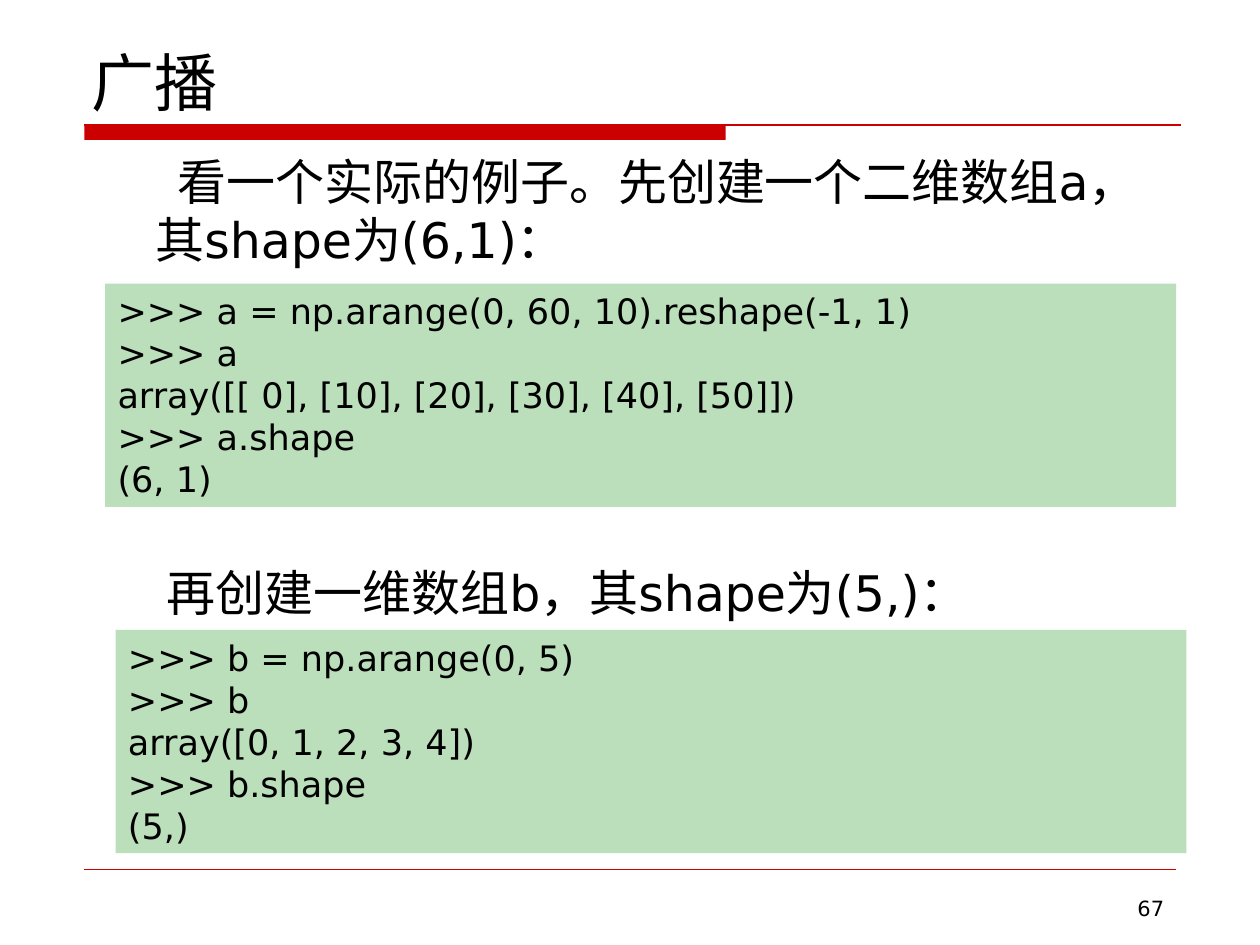
from lxml.etree import SubElement
from pptx import Presentation
from pptx.dml.color import RGBColor
from pptx.enum.shapes import MSO_CONNECTOR, MSO_SHAPE
from pptx.enum.text import MSO_ANCHOR, MSO_AUTO_SIZE, PP_ALIGN
from pptx.oxml.ns import qn
from pptx.util import Cm, Pt

FONT = "DejaVu Sans"
RED, GREEN, BLACK = "CC0000", "BBDFBB", "000000"


def rgb(value):
    return RGBColor.from_string(value)


def place(sp, box):
    sp.left, sp.top, sp.width, sp.height = (Cm(v) for v in box)


def write(sp, lines, size, align=PP_ALIGN.LEFT, anchor=MSO_ANCHOR.TOP):
    tf = sp.text_frame
    tf.word_wrap = True
    tf.auto_size = MSO_AUTO_SIZE.NONE
    tf.vertical_anchor = anchor
    tf.text = "\n".join(lines)
    for p in tf.paragraphs:
        p.alignment = align
        for r in p.runs:
            r.font.size, r.font.name = Pt(size), FONT
            r.font.color.rgb = rgb(BLACK)
    return tf


def add_rect(s, box, fill):
    sp = s.shapes.add_shape(MSO_SHAPE.RECTANGLE, *(Cm(v) for v in box))
    sp.shadow.inherit = False
    sp.fill.solid()
    sp.fill.fore_color.rgb = rgb(fill)
    sp.line.fill.background()
    return sp


def add_rule(s, x, y, width, weight):
    line = s.shapes.add_connector(
        MSO_CONNECTOR.STRAIGHT, Cm(x), Cm(y), Cm(x + width), Cm(y))
    line.line.color.rgb = rgb(RED)
    line.line.width = Pt(weight)
    SubElement(line._element.spPr, qn("a:effectLst"))


def add_frame(s, x, y, width, height):
    # Title bar with its thin rule, and the footer rule
    add_rect(s, (x, y, 12.93, 0.3), RED)
    add_rule(s, x, y, width, 0.75)
    add_rule(s, x, y + height, width - 0.1, 0.25)


def fill_title(s, box, text):
    place(s.shapes.title, box)
    write(s.shapes.title, [text], 36, anchor=MSO_ANCHOR.BOTTOM)


def fill_body(s, box, items):
    # Each item has its text, first-line indent (cm) and space before (pt)
    sp = s.placeholders[1]
    place(sp, box)
    tf = write(sp, [text for text, _, _ in items], 28)
    for p, (_, indent, before) in zip(tf.paragraphs, items):
        p.space_before = Pt(before)
        pPr = p._p.get_or_add_pPr()
        pPr.set("marL", str(Cm(1.3)))
        pPr.set("indent", str(Cm(indent)))
        SubElement(pPr, qn("a:buNone"))


def add_code(s, x, y, lines):
    write(add_rect(s, (x, y, 21.59, 4.5), GREEN), lines, 20)


def add_page_number(s, box, number):
    sp = s.shapes.add_textbox(*(Cm(v) for v in box))
    write(sp, [number], 12, PP_ALIGN.RIGHT)


def main():
    prs = Presentation()
    prs.slide_width, prs.slide_height = Cm(25.4), Cm(19.05)
    s = prs.slides.add_slide(prs.slide_layouts[1])

    add_frame(s, 1.7, 2.52, 22.1, 15.01)
    fill_title(s, (1.6, 0.84, 22.22, 1.68), "广播")
    fill_body(s, (1.58, 2.92, 22.22, 13.8), [
        ("看一个实际的例子。先创建一个二维数组a，其shape为(6,1)：", 0.45, 7),
        ("再创建一维数组b，其shape为(5,)：", 0.23, 168),
    ])
    add_page_number(s, (18.21, 17.93, 5.51, 0.74), "67")

    # Code examples
    add_code(s, 2.12, 5.72, [
        ">>> a = np.arange(0, 60, 10).reshape(-1, 1)",
        ">>> a",
        "array([[ 0], [10], [20], [30], [40], [50]])",
        ">>> a.shape",
        "(6, 1)",
    ])
    add_code(s, 2.33, 12.7, [
        ">>> b = np.arange(0, 5)",
        ">>> b",
        "array([0, 1, 2, 3, 4])",
        ">>> b.shape",
        "(5,)",
    ])
    prs.save("out.pptx")


if __name__ == "__main__":
    main()
